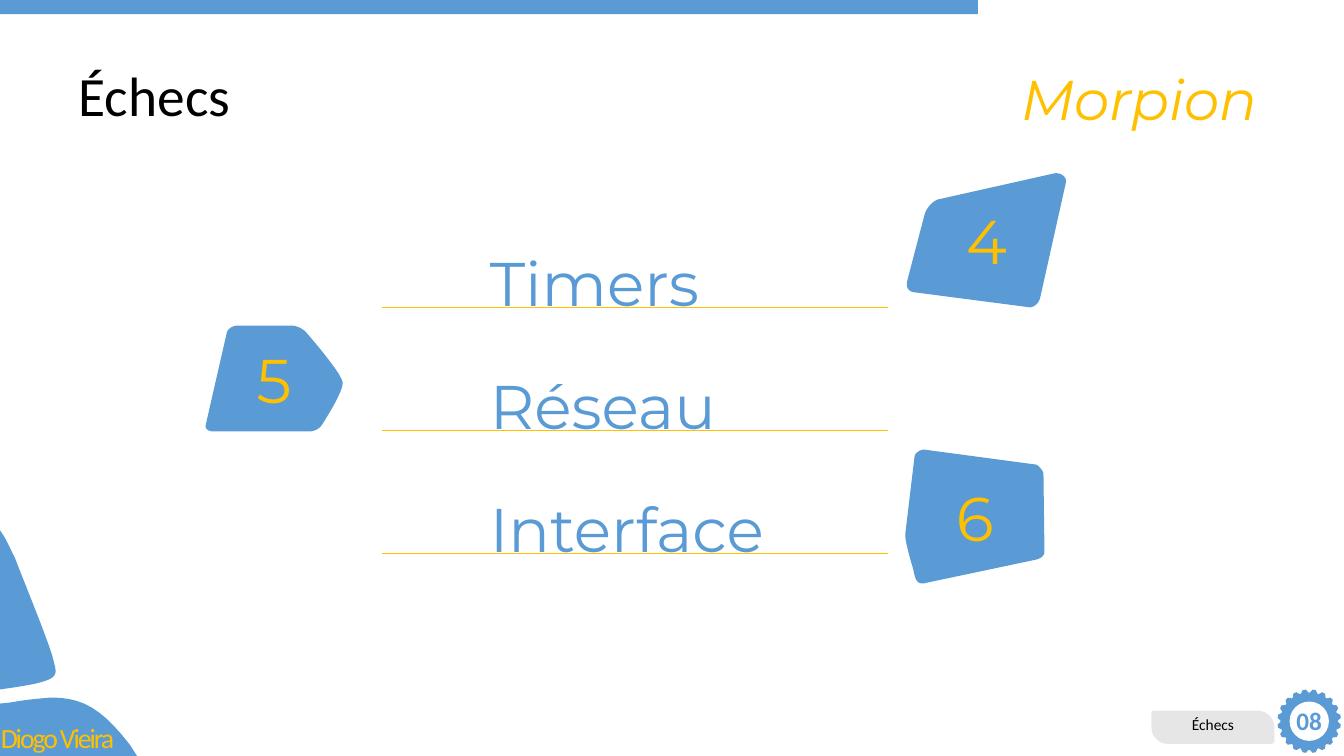
from math import cos, radians, sin

from lxml.etree import SubElement
from pptx import Presentation
from pptx.dml.color import RGBColor
from pptx.enum.shapes import MSO_CONNECTOR as CONN, MSO_SHAPE as SHAPE
from pptx.enum.text import MSO_ANCHOR as ANCHOR, MSO_AUTO_SIZE as FIT, PP_ALIGN as ALIGN
from pptx.oxml.ns import qn
from pptx.util import Pt

PX = 9144
CURVE_STEPS = 10
COLORS = {
    "blue": "5B9BD5",
    "gold": "FFC000",
    "grey": "E7E6E6",
    "white": "FFFFFF",
    "black": "000000",
}


def trace(start, segments):
    points = [start]
    for seg in segments:
        if len(seg) == 2:
            points.append(seg)
            continue
        (x0, y0), (x1, y1, x2, y2, x3, y3) = points[-1], seg
        for i in range(1, CURVE_STEPS + 1):
            t = i / CURVE_STEPS
            u = 1 - t
            a, b, c, d = u**3, 3 * u * u * t, 3 * u * t * t, t**3
            points.append((a * x0 + b * x1 + c * x2 + d * x3,
                           a * y0 + b * y1 + c * y2 + d * y3))
    return points


def gear(cx, cy, inner, outer, teeth):
    points = []
    for i in range(teeth):
        middle = (i + 0.5) * 360 / teeth
        for offset, radius in ((-7.5, inner), (-3, outer), (3, outer), (7.5, inner)):
            angle = radians(middle + offset)
            points.append((cx + radius * cos(angle), cy + radius * sin(angle)))
    return points


class Deck:
    def __init__(self, width, height):
        self.prs = Presentation()
        self.prs.slide_width = width * PX
        self.prs.slide_height = height * PX
        self.slide = self.prs.slides.add_slide(self.prs.slide_layouts[5])

    def color(self, name):
        return RGBColor.from_string(COLORS[name])

    def paint(self, sp, fill):
        sp.shadow.inherit = False
        sp.fill.solid()
        sp.fill.fore_color.rgb = self.color(fill)
        sp.line.fill.background()
        return sp

    def label(self, sp, text, size, color, font="Montserrat", align=ALIGN.LEFT,
              anchor=ANCHOR.TOP, bold=False, italic=False, leading=1.0,
              spacing=0, wrap=True):
        tf = sp.text_frame
        tf.auto_size = FIT.NONE
        tf.word_wrap = wrap
        tf.vertical_anchor = anchor
        p = tf.paragraphs[0]
        p.alignment = align
        p.line_spacing = leading
        r = p.add_run()
        r.text = text
        r.font.name = font
        r.font.size = Pt(size)
        r.font.bold = bold
        r.font.italic = italic
        r.font.color.rgb = self.color(color)
        if spacing:
            r.font._element.set("spc", str(spacing))

    def title(self, x, y, w, h, text, size, color, **style):
        sp = self.slide.shapes.title
        sp.left, sp.top, sp.width, sp.height = (v * PX for v in (x, y, w, h))
        self.label(sp, text, size, color, **style)

    def text(self, x, y, w, h, text, size, color, **style):
        sp = self.slide.shapes.add_textbox(x * PX, y * PX, w * PX, h * PX)
        self.label(sp, text, size, color, **style)

    def shape(self, kind, x, y, w, h, fill):
        return self.paint(self.slide.shapes.add_shape(kind, x * PX, y * PX, w * PX, h * PX), fill)

    def outline(self, points, fill):
        emu = [(round(x * PX), round(y * PX)) for x, y in points]
        builder = self.slide.shapes.build_freeform(*emu[0], scale=1.0)
        builder.add_line_segments(emu[1:], close=True)
        return self.paint(builder.convert_to_shape(), fill)

    def line(self, x1, y1, x2, y2, color, weight):
        cn = self.slide.shapes.add_connector(CONN.STRAIGHT, x1 * PX, y1 * PX, x2 * PX, y2 * PX)
        cn.line.color.rgb = self.color(color)
        cn.line.width = Pt(weight)
        SubElement(cn._element.spPr, qn("a:effectLst"))


HILL = trace((51, 692), [
    (82, 692, 101, 703, 129, 739), (136, 750), (0, 750), (0, 698), (10, 697),
    (26, 694, 39, 693, 51, 692)])
LEAF = trace((0, 526), [
    (4, 532), (8, 539, 11, 546, 15, 554), (23, 575, 51, 643, 53, 655),
    (56, 667, 59, 672, 40, 677), (33, 679, 21, 681, 7, 683), (0, 684)])
TAG = trace((1264, 723), [
    (1264, 735), (1264, 737, 1262, 738, 1260, 738), (1160, 738),
    (1154, 738, 1150, 737, 1147, 733), (1143, 730, 1142, 726, 1142, 719),
    (1142, 708), (1142, 706, 1143, 705, 1145, 705), (1245, 705),
    (1250, 705, 1255, 706, 1259, 710), (1262, 713, 1264, 717, 1264, 723)])
STONES = {
    "4": trace((900, 278), [
        (897, 289, 906, 290, 907, 290), (1022, 305),
        (1027, 304, 1031, 300, 1032, 294), (1057, 182),
        (1059, 175, 1051, 171, 1046, 172), (930, 198),
        (925, 200, 919, 206, 917, 213)]),
    "6": trace((1024, 556), [
        (1030, 555, 1036, 553, 1036, 547), (1036, 547, 1035, 475, 1035, 470),
        (1034, 465, 1028, 461, 1028, 461), (916, 446),
        (911, 447, 907, 450, 907, 454), (898, 529),
        (897, 534, 902, 552, 905, 562), (908, 572, 907, 582, 920, 578)]),
    "5": trace((340, 380), [
        (340, 390, 319, 422, 319, 422), (317, 425, 312, 428, 307, 428),
        (211, 428), (207, 428, 203, 425, 204, 422), (225, 330),
        (226, 326, 231, 323, 236, 323), (289, 323),
        (294, 323, 300, 326, 303, 329), (303, 329, 340, 371, 340, 380)]),
}


def main():
    deck = Deck(1333, 750)
    deck.outline(HILL, "blue")
    deck.outline(LEAF, "blue")
    deck.outline(gear(1298.5, 715.5, 28.5, 31.5, 20), "blue")
    deck.shape(SHAPE.OVAL, 1279, 696, 39, 39, "white")
    deck.text(-9, 718, 160, 36, "Diogo Vieira", 19.8, "gold", font="Calibri",
              anchor=ANCHOR.MIDDLE, leading=0.7, spacing=-150)
    deck.title(68, 80, 1197, 36, "Échecs", 39.6, "black", font="Calibri",
               anchor=ANCHOR.MIDDLE, leading=0.9)

    for number, points in STONES.items():
        stone = deck.outline(points, "blue")
        deck.label(stone, number, 44, "gold", align=ALIGN.CENTER, anchor=ANCHOR.MIDDLE)

    for i, topic in enumerate(("Timers", "Réseau", "Interface")):
        y = 305 + i * 122
        deck.line(881, y, 379, y, "gold", 0.5)
        deck.text(476, y - 67, 404, 84, topic, 44, "blue")

    deck.text(1276, 695, 46, 40, "08", 18, "blue", font="Calibri", bold=True, wrap=False)
    tag = deck.outline(TAG, "grey")
    deck.label(tag, "Échecs", 11, "black", font="Calibri", align=ALIGN.CENTER)
    deck.text(756, 59, 501, 77, "Morpion", 40, "gold", align=ALIGN.RIGHT, italic=True)
    deck.shape(SHAPE.RECTANGLE, 0, 0, 970, 14, "blue")
    deck.prs.save("out.pptx")


if __name__ == "__main__":
    main()
